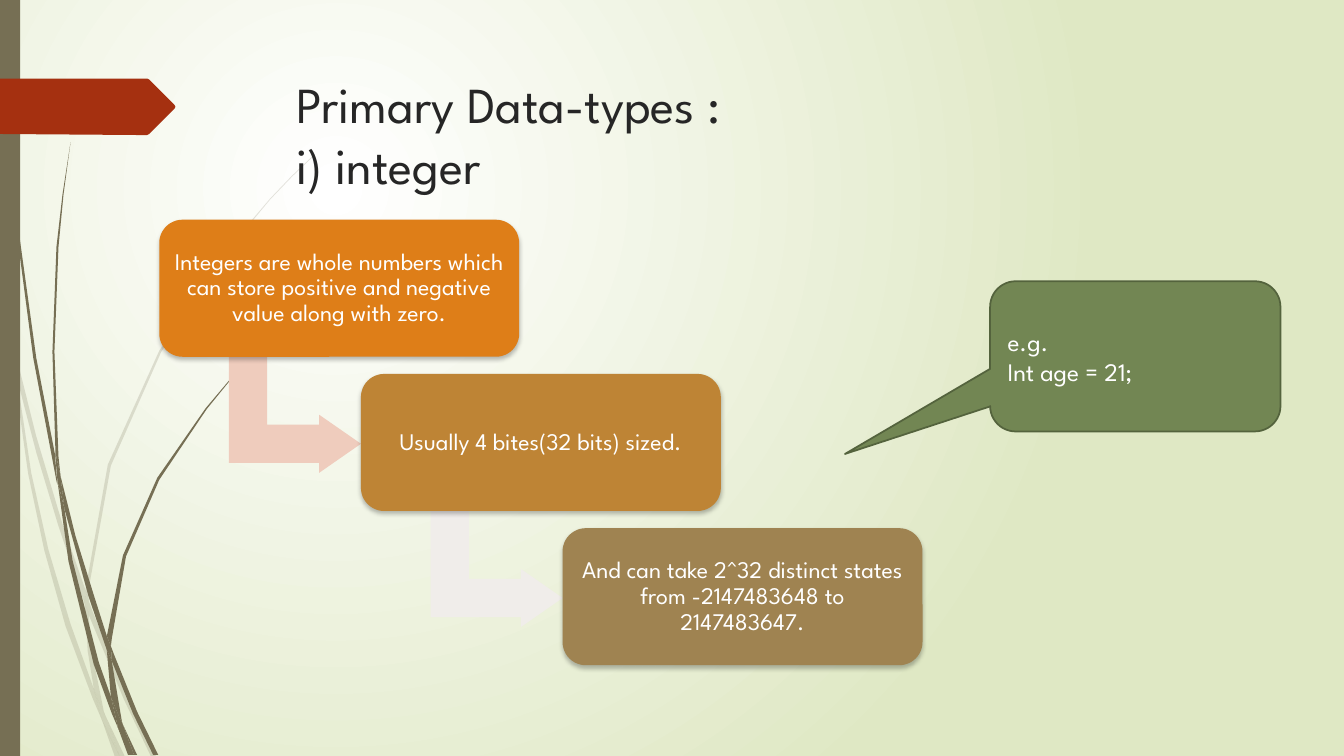
from lxml.etree import SubElement
from pptx import Presentation
from pptx.dml.color import RGBColor
from pptx.enum.shapes import MSO_SHAPE
from pptx.enum.text import MSO_ANCHOR, PP_ALIGN
from pptx.oxml.ns import qn
from pptx.util import Pt

PX = 9144
FONT = "League Spartan"
WHITE = RGBColor(0xFF, 0xFF, 0xFF)
INK = RGBColor(0x26, 0x26, 0x26)
LIME = RGBColor(0xDF, 0xE8, 0xC4)
OLIVE = RGBColor(0x76, 0x6F, 0x54)
RED = RGBColor(0xA5, 0x30, 0x10)
ORANGE = RGBColor(0xDE, 0x7E, 0x18)
OCHRE = RGBColor(0xBE, 0x84, 0x35)
KHAKI = RGBColor(0x9F, 0x83, 0x51)
PINK = RGBColor(0xEF, 0xCC, 0xBD)
PALE = RGBColor(0xF0, 0xED, 0xEA)
GREEN = RGBColor(0x72, 0x86, 0x53)
DARK_GREEN = RGBColor(0x54, 0x63, 0x3D)

PALE_BLADES = [
    [(11, 350), (9, 322), (0, 282), (0, 299), (10, 344)],
    [(58, 522), (84, 599), (85, 586), (62, 520), (36, 433), (14, 345),
     (17, 376), (36, 449)],
    [(92, 607), (88, 596), (88, 610), (123, 694), (150, 751), (155, 751),
     (127, 692)],
    [(119, 751), (124, 751), (105, 711)],
    [(93, 683), (70, 619), (48, 545), (31, 469), (17, 376), (11, 350),
     (28, 470), (44, 546), (65, 621), (92, 693), (101, 714), (99, 707)],
    [(84, 599), (87, 646), (93, 683), (96, 692), (105, 711), (103, 706),
     (91, 646), (88, 610), (88, 608)],
    [(88, 584), (110, 462), (160, 349), (229, 245), (268, 198), (290, 175),
     (312, 154), (312, 153), (289, 175), (268, 197), (228, 244), (158, 348),
     (107, 461), (85, 584), (85, 586), (88, 596)],
    [(101, 714), (114, 751), (119, 751)],
    [(88, 608), (88, 610), (88, 596), (85, 586), (84, 599)],
    [(96, 692), (93, 683), (99, 707), (101, 714), (119, 751), (105, 711)],
]
DARK_BLADES = [
    [(7, 110), (17, 233), (33, 355), (56, 477), (57, 481), (55, 457),
     (55, 453), (36, 355), (19, 232), (8, 109), (5, 48), (4, 0), (3, 0),
     (4, 48)],
    [(88, 592), (106, 645), (106, 633), (106, 631), (93, 590), (75, 532),
     (60, 472), (64, 505)],
    [(113, 649), (110, 641), (111, 656), (132, 708), (152, 749), (157, 749),
     (136, 706)],
    [(110, 691), (98, 657), (72, 556), (64, 505), (57, 477), (68, 557),
     (93, 659), (111, 708), (117, 722), (116, 717)],
    [(60, 472), (58, 453), (54, 349), (58, 245), (63, 193), (70, 141),
     (62, 193), (56, 245), (52, 349), (55, 449)],
    [(133, 749), (136, 749), (122, 719)],
    [(57, 477), (64, 505), (60, 472), (55, 449), (55, 453)],
    [(111, 633), (125, 552), (158, 476), (205, 406), (231, 374), (245, 359),
     (261, 344), (260, 344), (245, 358), (231, 373), (204, 405), (156, 474),
     (122, 551), (106, 631), (110, 641)],
    [(117, 722), (127, 749), (131, 749)],
    [(106, 645), (110, 691), (116, 706), (122, 719), (121, 716), (111, 656),
     (109, 651)],
    [(106, 645), (109, 651), (111, 656), (110, 641), (106, 631), (106, 633)],
    [(116, 706), (110, 691), (116, 717), (117, 722), (130, 749), (133, 749),
     (122, 719)],
]
RIBBON = [(173, 108), (148, 133), (146, 134), (136, 134), (0, 133), (0, 78),
          (146, 78), (148, 79), (173, 104), (174, 106)]
STEPS = [
    ("Integers are whole numbers which can store positive and negative "
     "value along with zero.", ORANGE, PINK),
    ("Usually 4 bites(32 bits) sized.", OCHRE, PALE),
    ("And can take 2^32 distinct states from -2147483648 to 2147483647.",
     KHAKI, None),
]


class Deck:
    """Holds the style and the current slide, and draws its elements."""

    def __init__(self, width, height):
        self.prs = Presentation()
        self.prs.slide_width = width * PX
        self.prs.slide_height = height * PX
        self.s = self.prs.slides.add_slide(self.prs.slide_layouts[6])

    def glow(self, inner, outer):
        fill = self.s.background.fill
        fill.gradient()
        for stop, color in zip(fill.gradient_stops, (inner, outer)):
            stop.color.rgb = color
        lin = next(self.s.element.iter(qn("a:lin")))
        grad = lin.getparent()
        grad.remove(lin)
        ring = SubElement(grad, qn("a:path"), path="circle")
        SubElement(ring, qn("a:fillToRect"), l="50000", t="50000",
                   r="100000", b="100000")

    def paint(self, sp, color, opacity=100):
        sp.shadow.inherit = False
        sp.line.fill.background()
        sp.fill.solid()
        sp.fill.fore_color.rgb = color
        if opacity < 100:
            clr = next(sp.element.spPr.iter(qn("a:srgbClr")))
            SubElement(clr, qn("a:alpha"), val=str(opacity * 1000))

    def outline(self, points, color, opacity=100):
        fb = self.s.shapes.build_freeform(*points[0], scale=PX)
        fb.add_line_segments(points[1:])
        self.paint(fb.convert_to_shape(), color, opacity)

    def shape(self, kind, x, y, w, h, color, adj=()):
        sp = self.s.shapes.add_shape(kind, x * PX, y * PX, w * PX, h * PX)
        for i, value in enumerate(adj):
            sp.adjustments[i] = value
        self.paint(sp, color)
        return sp

    def drop_shadow(self, sp):
        effects = sp.element.spPr.find(qn("a:effectLst"))
        shadow = SubElement(effects, qn("a:outerShdw"), blurRad=str(Pt(3)),
                            dist=str(Pt(2)), dir="5400000", rotWithShape="0")
        clr = SubElement(shadow, qn("a:srgbClr"), val="000000")
        SubElement(clr, qn("a:alpha"), val="25000")

    def textbox(self, x, y, w, h):
        return self.s.shapes.add_textbox(x * PX, y * PX, w * PX, h * PX)

    def run(self, p, text, size, color):
        r = p.add_run()
        r.text = text
        r.font.size = Pt(size)
        r.font.name = FONT
        r.font.color.rgb = color

    def text(self, sp, paragraphs, size, color, align=PP_ALIGN.LEFT,
             anchor=MSO_ANCHOR.MIDDLE, spacing=1.0):
        tf = sp.text_frame
        tf.word_wrap = True
        tf.vertical_anchor = anchor
        for i, lines in enumerate(paragraphs):
            p = tf.add_paragraph() if i else tf.paragraphs[0]
            p.alignment = align
            p.line_spacing = spacing
            for j, line in enumerate(lines):
                if j:
                    p.add_line_break()
                self.run(p, line, size, color)
        return tf

    def step(self, x, y, text, color, arrow_color):
        if arrow_color:
            arrow = self.shape(MSO_SHAPE.BENT_UP_ARROW, x + 77, y + 128,
                               115, 131, arrow_color, (0.33, 0.25, 0.36))
            arrow.rotation = 90
        box = self.shape(MSO_SHAPE.ROUNDED_RECTANGLE, x, y, 357, 136, color,
                         (0.17,))
        self.drop_shadow(box)
        tf = self.text(box, [[text]], 17, WHITE, PP_ALIGN.CENTER, spacing=0.9)
        tf.margin_left = tf.margin_right = 7 * PX
        tf.margin_top = tf.margin_bottom = 7 * PX

    def callout(self, x, y, w, h, paragraphs):
        sp = self.shape(MSO_SHAPE.ROUNDED_RECTANGULAR_CALLOUT, x, y, w, h,
                        GREEN, (-1.0, 0.65, 0.17))
        sp.line.color.rgb = DARK_GREEN
        sp.line.width = Pt(1.25)
        self.text(sp, paragraphs, 18, WHITE)


def main():
    deck = Deck(1333, 750)
    deck.glow(WHITE, LIME)
    for blades, opacity in ((PALE_BLADES, 20), (DARK_BLADES, 100)):
        for points in blades:
            deck.outline(points, OLIVE, opacity)
    deck.shape(MSO_SHAPE.RECTANGLE, 0, 0, 20, 750, OLIVE)
    deck.outline(RIBBON, RED)
    deck.text(deck.textbox(284, 68, 975, 140),
              [["Primary Data-types :", "i) integer"]], 36, INK,
              anchor=MSO_ANCHOR.TOP)
    for i, (text, color, arrow_color) in enumerate(STEPS):
        deck.step(158 + 200 * i, 218 + 153 * i, text, color, arrow_color)
    deck.callout(982, 279, 288, 149, [["e.g."], ["Int age = 21;"]])
    deck.prs.save("out.pptx")


if __name__ == "__main__":
    main()
